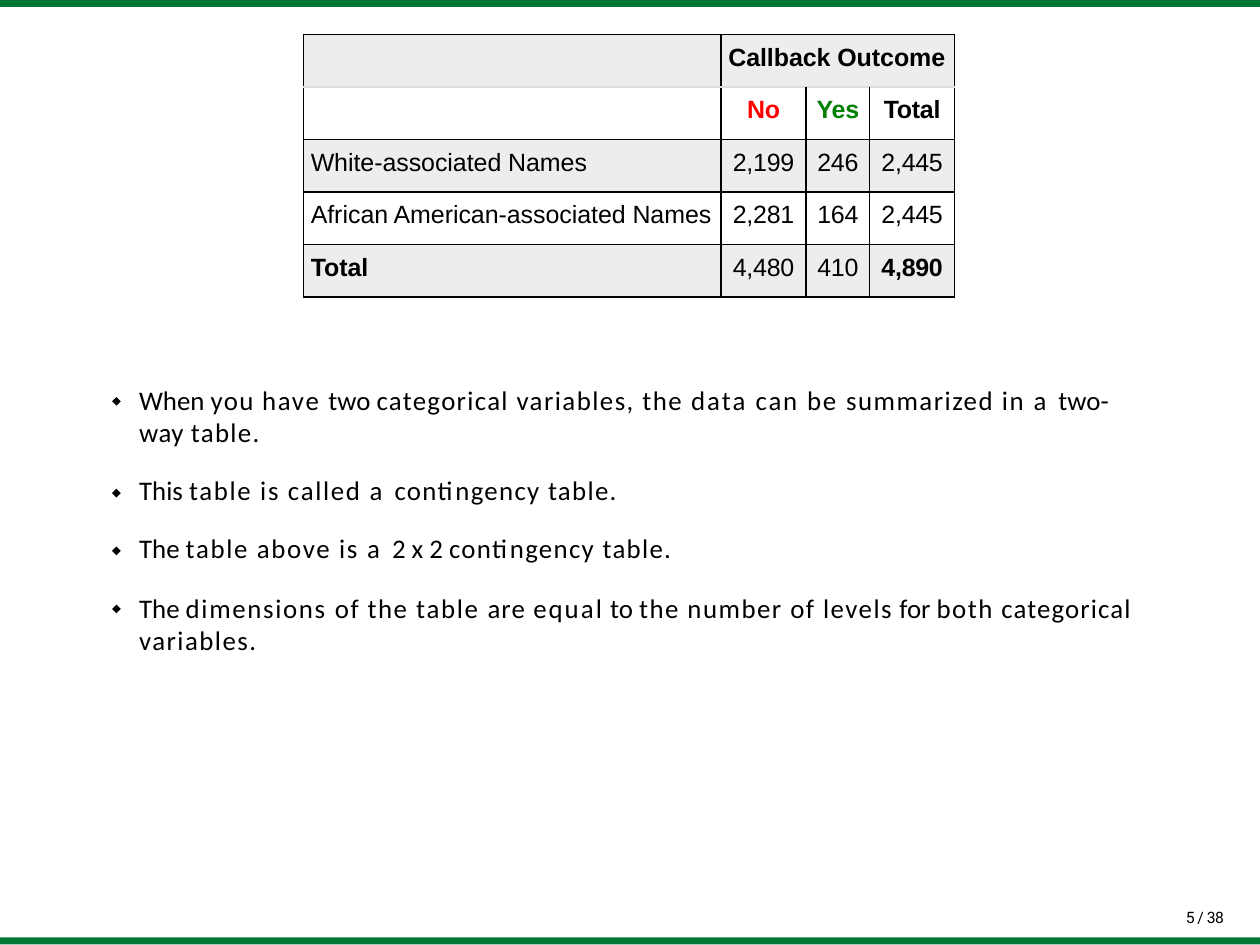
import pptx
import pptx.dml.color
import pptx.enum.shapes
import pptx.enum.text
import pptx.oxml
import pptx.oxml.ns
import pptx.util

Pt = pptx.util.Pt
SHAPES = pptx.enum.shapes.MSO_SHAPE
ALIGN = pptx.enum.text.PP_ALIGN

SLIDE_WIDTH, SLIDE_HEIGHT = 681.1, 510.9
BLACK, GREEN, STRIPE, PALE_LINE = "000000", "007834", "EDEDED", "DDDDDD"

COLUMN_WIDTHS = [225.75, 46, 34.5, 45.75]
ROW_HEIGHT = 28.4
TABLE_ROWS = [
    ["", "Callback Outcome", "", ""],
    ["", "No", "Yes", "Total"],
    ["White-associated Names", "2,199", "246", "2,445"],
    ["African American-associated Names", "2,281", "164", "2,445"],
    ["Total", "4,480", "410", "4,890"],
]
BOLD_TEXTS = {"Callback Outcome", "No", "Yes", "Total", "4,890"}
TEXT_COLORS = {"No": "FF0000", "Yes": "008000"}

# Each point: diamond top, space before, line spacing, spans of (text, letter spacing)
POINTS = [
    (214.6, 0, 17.3, [
        ("When ", 0), ("you ", 0.7), ("have ", 0.9), ("two ", 0),
        ("categorical ", 0.7), ("variables, the ", 0.8), ("data ", 1.1),
        ("can be ", 1), ("summarized ", 0.8), ("in ", 1), ("a ", 1.6),
        ("two-", 0), ("way ", 0.3), ("table.", 0.7)]),
    (264.3, 14.2, None, [
        ("This ", 0), ("table is called ", 0.9), ("a ", 1.6),
        ("contingency table.", 0.7)]),
    (295.5, 14.1, None, [
        ("The ", 0), ("table above is ", 0.9), ("a ", 1.6), ("2 x 2 ", 0),
        ("contingency table.", 0.7)]),
    (326.9, 14.8, 17.3, [
        ("The ", 0), ("dimensions ", 0.9), ("of the ", 0.8), ("table ", 0.9),
        ("are ", 0.6), ("equal", 1.1), (" to ", 0),
        ("the number of levels", 0.8), (" for ", 0), ("both ", 0.8),
        ("categorical ", 0.6), ("variables.", 0.8)]),
]


def rgb(color):
    return pptx.dml.color.RGBColor.from_string(color)


def add_filled_shape(slide, kind, left, top, width, height, color):
    shape = slide.shapes.add_shape(kind, Pt(left), Pt(top), Pt(width), Pt(height))
    shape.shadow.inherit = False
    shape.fill.solid()
    shape.fill.fore_color.rgb = rgb(color)
    shape.line.fill.background()


def format_span(span, font, size, color=BLACK, bold=False, spacing=0):
    span.font.name = font
    span.font.size = Pt(size)
    span.font.bold = bold
    span.font.color.rgb = rgb(color)
    span._r.get_or_add_rPr().set("spc", str(round(spacing * 100)))


def add_spans(para, spans, font, size):
    for text, spacing in spans:
        span = para.add_run()
        span.text = text
        format_span(span, font, size, spacing=spacing)


def add_text_box(slide, left, top, width, height, inset_top):
    box = slide.shapes.add_textbox(Pt(left), Pt(top), Pt(width), Pt(height))
    frame = box.text_frame
    frame.word_wrap = True
    frame.auto_size = pptx.enum.text.MSO_AUTO_SIZE.SHAPE_TO_FIT_TEXT
    frame.margin_left, frame.margin_top = Pt(1), Pt(inset_top)
    frame.margin_right = frame.margin_bottom = 0
    return frame


def set_borders(cell, top=BLACK, bottom=BLACK):
    properties = cell._tc.get_or_add_tcPr()
    edges = {"lnL": BLACK, "lnR": BLACK, "lnT": top, "lnB": bottom}
    for edge, color in edges.items():
        properties.append(pptx.oxml.parse_xml(
            f'<a:{edge} {pptx.oxml.ns.nsdecls("a")} w="{Pt(0.75)}"><a:solidFill>'
            f'<a:srgbClr val="{color}"/></a:solidFill></a:{edge}>'))


def fill_cell(cell, text, row, column):
    set_borders(cell, top=PALE_LINE if row == 1 else BLACK,
                bottom=PALE_LINE if row == 0 else BLACK)
    if row % 2 == 0:
        cell.fill.solid()
        cell.fill.fore_color.rgb = rgb(STRIPE)
    else:
        cell.fill.background()
    centred = row > 0 and column > 0
    cell.margin_left = Pt(0 if centred else 4)
    cell.margin_top = Pt(5)
    cell.margin_right = cell.margin_bottom = 0
    if text:
        para = cell.text_frame.paragraphs[0]
        para.text = text
        para.alignment = ALIGN.CENTER if centred else ALIGN.LEFT
        format_span(para.runs[0], "Arial", 13.5, TEXT_COLORS.get(text, BLACK),
                    text in BOLD_TEXTS, -0.1 if centred else 0)


def add_callback_table(slide):
    table = slide.shapes.add_table(
        len(TABLE_ROWS), len(COLUMN_WIDTHS), Pt(164), Pt(18.7),
        Pt(sum(COLUMN_WIDTHS)), Pt(ROW_HEIGHT * len(TABLE_ROWS))).table
    table.first_row = table.horz_banding = False
    for column, width in zip(table.columns, COLUMN_WIDTHS):
        column.width = Pt(width)
    table.cell(0, 1).merge(table.cell(0, 3))
    for row, texts in enumerate(TABLE_ROWS):
        table.rows[row].height = Pt(ROW_HEIGHT)
        for column, text in enumerate(texts):
            fill_cell(table.cell(row, column), text, row, column)


def add_points(slide):
    frame = add_text_box(slide, 74.2, 205.9, 546.5, 149, 1.5)
    for index, (diamond_top, space, line_spacing, spans) in enumerate(POINTS):
        add_filled_shape(slide, SHAPES.DIAMOND, 60.6, diamond_top, 4.7, 4.7, BLACK)
        para = frame.add_paragraph() if index else frame.paragraphs[0]
        if space:
            para.space_before = Pt(space)
        if line_spacing:
            para.line_spacing = Pt(line_spacing)
        add_spans(para, spans, "Calibri", 14.5)


def add_page_number(slide):
    frame = add_text_box(slide, 640.1, 490.3, 26.6, 12.2, 0.7)
    add_spans(frame.paragraphs[0], [("5 ", -0.7), ("/ ", -0.5), ("38", -0.3)],
              "Roboto", 8.5)


def main():
    deck = pptx.Presentation()
    deck.slide_width, deck.slide_height = Pt(SLIDE_WIDTH), Pt(SLIDE_HEIGHT)
    slide = deck.slides.add_slide(deck.slide_layouts[6])
    for bar_top in (0, 506.8):
        add_filled_shape(slide, SHAPES.RECTANGLE, 0, bar_top, SLIDE_WIDTH, 3.7, GREEN)
    add_callback_table(slide)
    add_points(slide)
    add_page_number(slide)
    deck.save("out.pptx")


if __name__ == "__main__":
    main()
